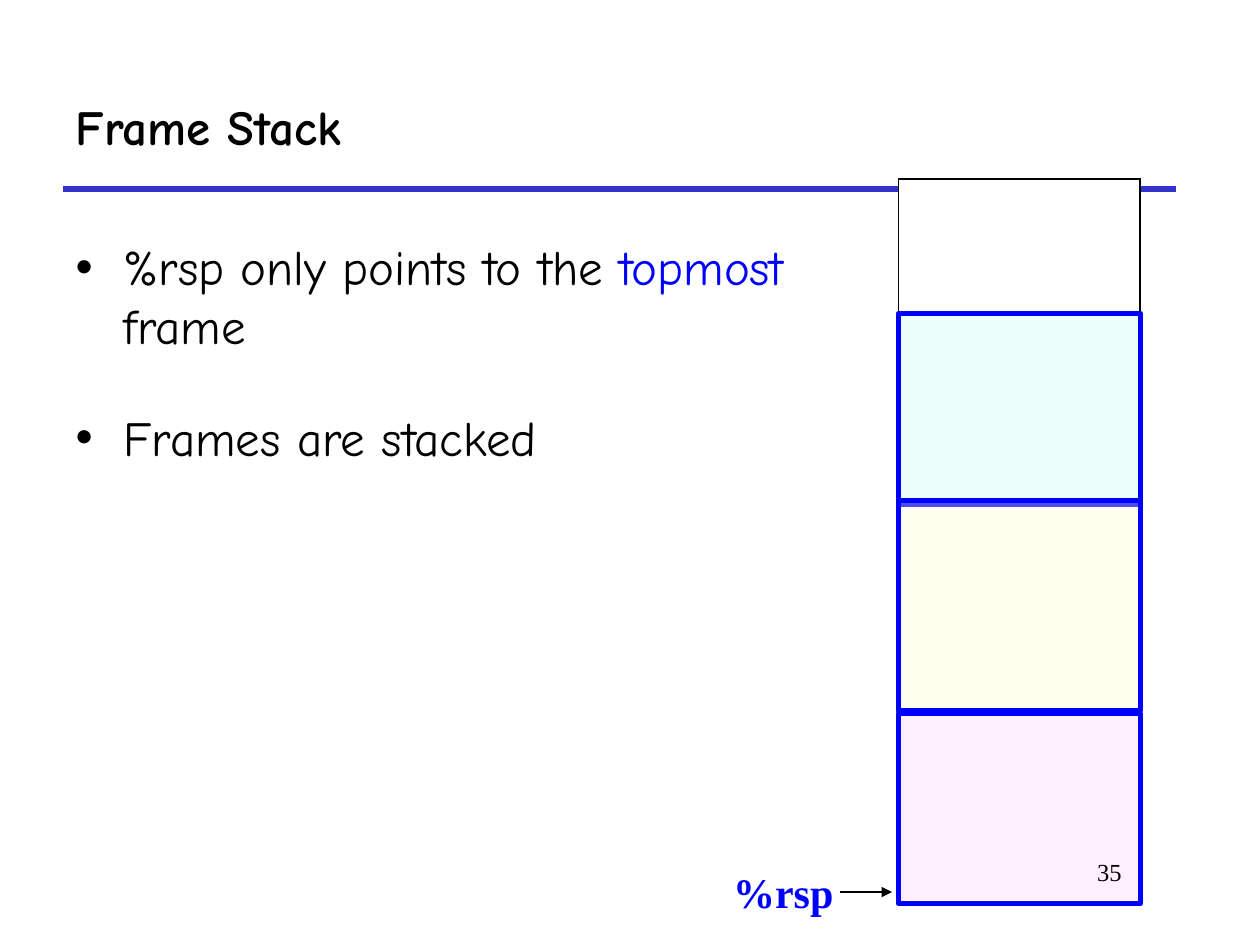
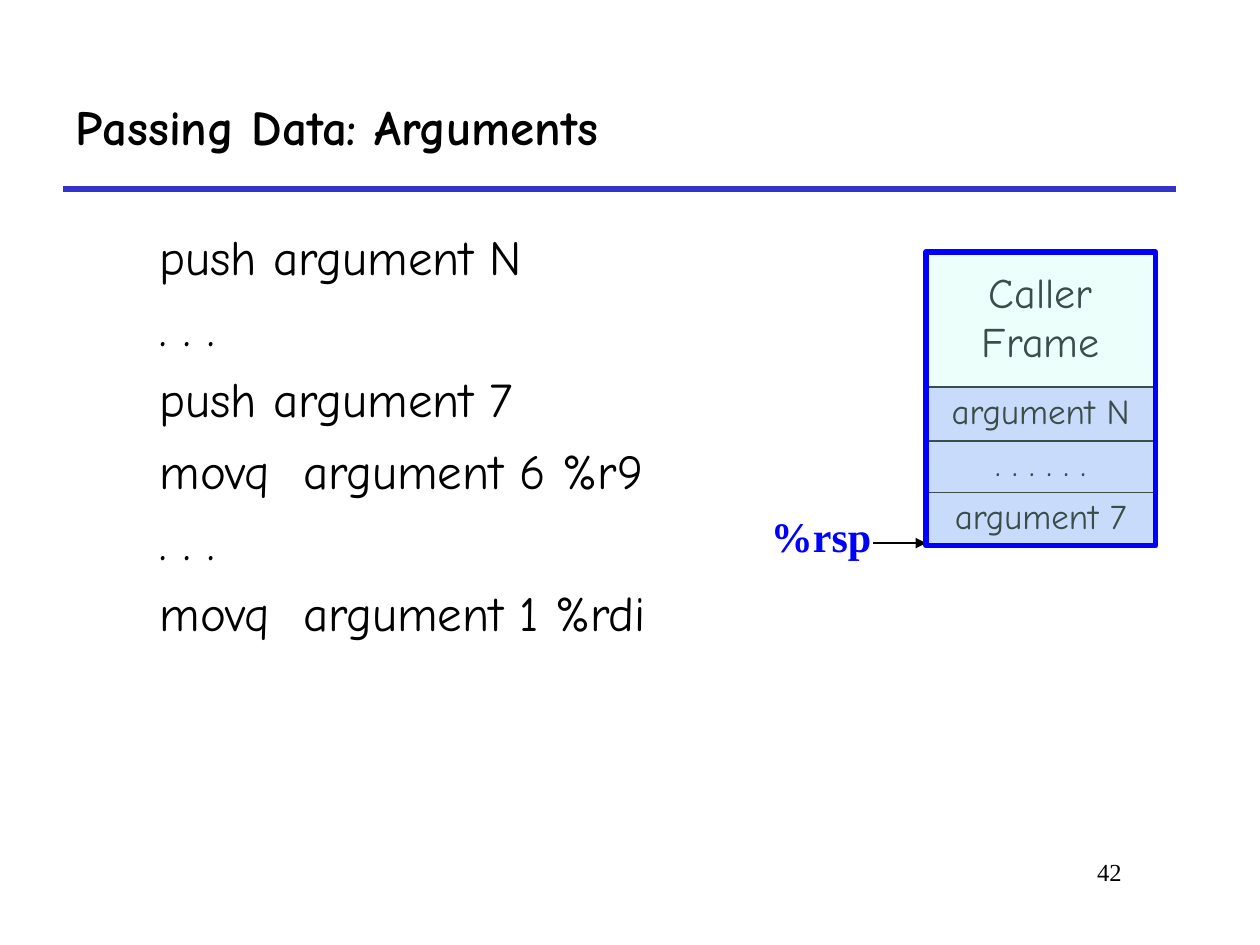
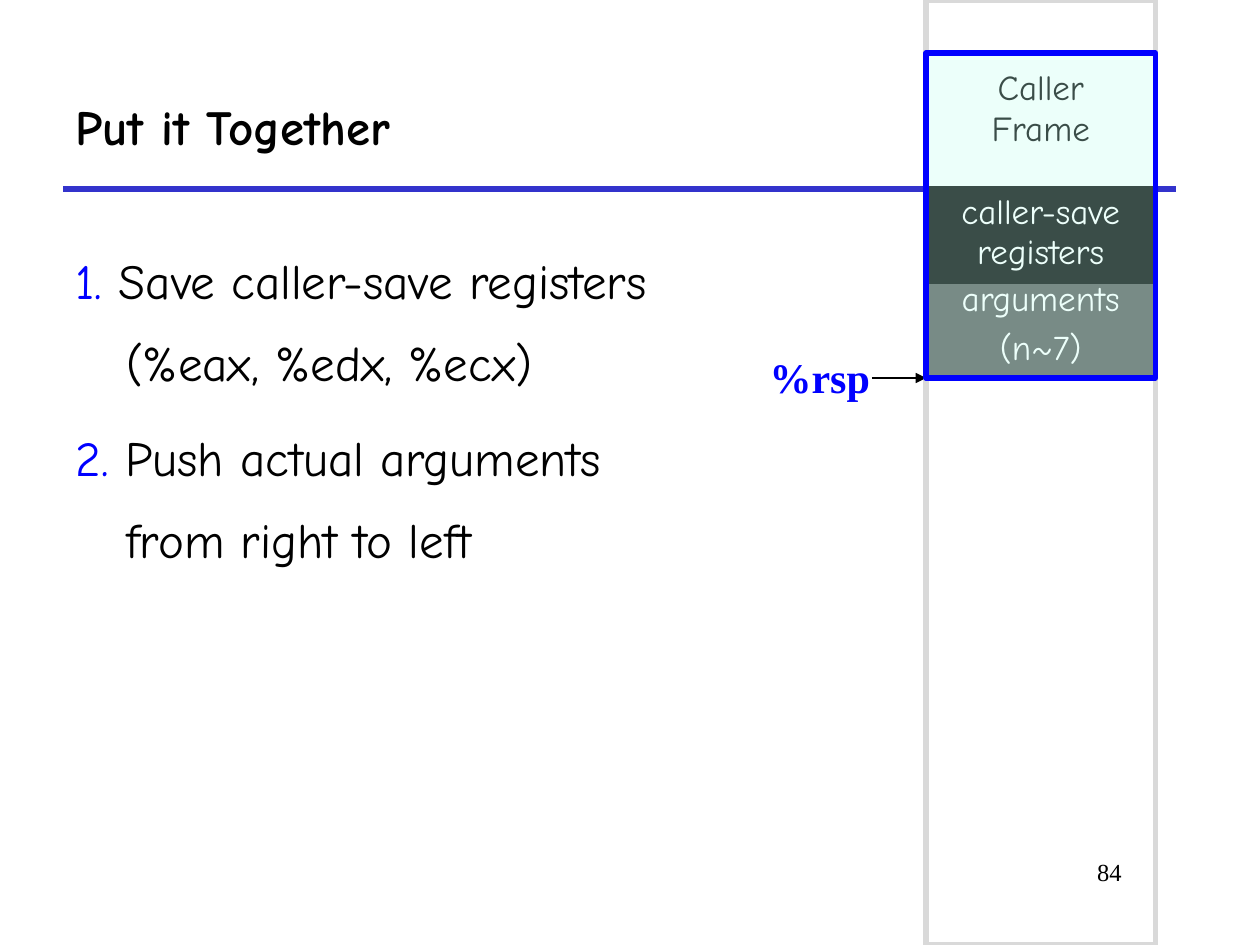
from lxml import etree
from pptx import Presentation
from pptx.dml.color import RGBColor as RGB
from pptx.enum.shapes import MSO_CONNECTOR as CONN, MSO_SHAPE as SHAPE
from pptx.enum.text import MSO_ANCHOR as ANCHOR, MSO_AUTO_SIZE as AUTO, PP_ALIGN as ALIGN
from pptx.oxml.ns import qn
from pptx.util import Inches, Pt

COLORS = {
    "black": "000000", "white": "FFFFFF", "blue": "0000FF", "rule": "3333CC",
    "mint": "C2FFF0", "cream": "FFFFCC", "pink": "FFCCFF", "lilac": "CCCCFF",
    "gray": "595959", "guide": "D9D9D9",
}
C = {name: RGB.from_string(value) for name, value in COLORS.items()}
BODY_FONT, CODE_FONT = "Comic Neue", "Times New Roman"

prs = Presentation()
prs.slide_width, prs.slide_height = Inches(10), Inches(7.5)


def place(*shares):
    """Turn percentages of the slide (x, y, x, y) into lengths."""
    sides = (prs.slide_width, prs.slide_height) * 2
    return [round(share * side / 100) for share, side in zip(shares, sides)]


def write(tf, paras, size=28, font=BODY_FONT, color="black", bold=False,
          align=ALIGN.LEFT, before=0, spacing=None, indent=0, bullet=False):
    """Fill a text frame; a paragraph is a string or a list of (text, color)."""
    for i, runs in enumerate(paras):
        p = tf.add_paragraph() if i else tf.paragraphs[0]
        pPr = p._p.get_or_add_pPr()
        pPr.set("marL", str(Inches(indent)))
        pPr.set("indent", str(-Inches(indent)))
        if bullet:
            etree.SubElement(pPr, qn("a:buChar")).set("char", "•")
        else:
            etree.SubElement(pPr, qn("a:buNone"))
        p.alignment, p.space_before = align, Pt(before if i else 0)
        if spacing:
            p.line_spacing = spacing
        for text, run_color in [(runs, color)] if isinstance(runs, str) else runs:
            for n, line in enumerate(text.split("\n")):
                if n:
                    p.add_line_break()
                r = p.add_run()
                r.text = line
                r.font.size, r.font.name, r.font.bold = Pt(size), font, bold
                r.font.color.rgb = C[run_color]


# Stack columns: left edge and width
WIDE, NARROW = (71.3, 19.2), (73.5, 18.2)
ARG_ROW = 5.73

# Tables: top, rows of (height, fill, paragraphs), text size, text color, top margin
# Frames: top, height, color; rsp: label left, label top, arrow start, end, height
slides = [
    dict(
        title="Frame Stack", number="35", column=WIDE,
        body=(5, 24.4, 66.3, 29.87),
        paras=[[("%rsp only points to the ", "black"), ("topmost ", "blue"),
                ("frame", "black")], "Frames are stacked"],
        style=dict(before=30, indent=0.38, bullet=True),
        tables=[(18.93, [(h, "white", []) for h in (14, 20.67, 21.47, 20.67)],
                 18, "black", 0.05)],
        frames=[(33.2, 20.13, "mint"), (52.93, 22.27, "cream"), (75.47, 20.13, "pink")],
        rsp=(57.2, 91.07, 66.7, 70.8, 94.4), arrow_width=1.5,
    ),
    dict(
        title="Passing Data: Arguments", number="42", column=NARROW,
        body=(11.67, 23.33, 85, 64.4),
        paras=["push argument N", ". . .", "push argument 7",
               "movq  argument 6 %r9", ". . .", "movq  argument 1 %rdi"],
        style=dict(before=7),
        tables=[(26.67, [(31.07, None, ["Caller\nFrame"])], 24, "black", 0.15)] + [
            (top, [(ARG_ROW, "lilac", [text])], 20, "black", 0.05)
            for top, text in [(52, "argument 7"), (46.4, ". . . . . ."),
                              (40.93, "argument N")]],
        frames=[(26.67, 31.07, "mint")],
        rsp=(60.2, 53.33, 69.3, 73.5, 57.47), arrow_width=0.75,
    ),
    dict(
        title="Put it Together", number="84", column=NARROW, guide=True,
        body=(5, 23.33, 95, 64.4),
        paras=[[("1. ", "blue"), ("Save caller-save registers\n(%eax, %edx, %ecx)", "black")],
               [("2. ", "blue"), ("Push actual arguments\nfrom right to left", "black")]],
        style=dict(before=7, spacing=1.4, indent=0.4),
        tables=[(28.93, [(11.13, "gray", ["arguments", "(n~7)"])], 20, "white", 0.05),
                (19.73, [(10.27, "black", ["caller-save registers"])], 20, "white", 0.05),
                (5.6, [(34.4, None, ["Caller\nFrame"])], 20, "black", 0.13)],
        frames=[(5.6, 34.4, "mint")],
        rsp=(60.1, 36.53, 69.2, 73.5, 40), arrow_width=0.75,
    ),
]

for d in slides:
    s = prs.slides.add_slide(prs.slide_layouts[1])
    left, width = d["column"]

    # Title and body
    title, body = s.placeholders[0], s.placeholders[1]
    for sp, box, anchor in [(title, (5, 6.67, 88.3, 13.33), ANCHOR.MIDDLE),
                            (body, d["body"], ANCHOR.TOP)]:
        sp.left, sp.top, sp.width, sp.height = place(*box)
        sp.text_frame.auto_size = AUTO.NONE
        sp.text_frame.word_wrap = True
        sp.text_frame.vertical_anchor = anchor
    write(title.text_frame, [d["title"]], bold=True)
    write(body.text_frame, d["paras"], **d["style"])

    # Title rule and stack pointer arrow
    label_x, label_y, start, end, arrow_y = d["rsp"]
    rule, arrow = [s.shapes.add_connector(CONN.STRAIGHT, *place(*ends)) for ends in
                   [(5, 20, 93.3, 20), (start, arrow_y, end, arrow_y)]]
    for line, color, weight in [(rule, "rule", 3), (arrow, "black", d["arrow_width"])]:
        line.line.color.rgb, line.line.width = C[color], Pt(weight)
        etree.SubElement(line._element.spPr, qn("a:effectLst"))
    etree.SubElement(arrow.line._get_or_add_ln(), qn("a:tailEnd")).set("type", "triangle")

    # Outline of the whole stack
    if d.get("guide"):
        sp = s.shapes.add_shape(SHAPE.RECTANGLE, *place(left, 0, width, 100))
        sp.shadow.inherit = False
        sp.fill.background()
        sp.line.color.rgb, sp.line.width = C["guide"], Pt(3)

    # Stack cells
    for top, rows, size, color, margin in d["tables"]:
        box = place(left, top, width, sum(row[0] for row in rows))
        table = s.shapes.add_table(len(rows), 1, *box).table
        table.first_row = table.horz_banding = False
        for i, (height, fill, paras) in enumerate(rows):
            table.rows[i].height = place(0, height)[1]
            cell = table.cell(i, 0)
            cell.margin_top = Inches(margin)
            write(cell.text_frame, paras, size=size, color=color,
                  align=ALIGN.CENTER, before=5)
            inner = {"lnT": i > 0, "lnB": i < len(rows) - 1}
            for side in ("lnL", "lnR", "lnT", "lnB"):
                weight = 0.45 if inner.get(side) else 1.08
                ln = etree.SubElement(cell._tc.get_or_add_tcPr(), qn("a:" + side),
                                      w=str(Pt(weight)))
                paint = etree.SubElement(ln, qn("a:solidFill"))
                etree.SubElement(paint, qn("a:srgbClr"), val=COLORS["black"])
            if fill:
                cell.fill.solid()
                cell.fill.fore_color.rgb = C[fill]
            else:
                cell.fill.background()

    # Translucent frames over the cells
    for top, height, color in d["frames"]:
        sp = s.shapes.add_shape(SHAPE.RECTANGLE, *place(left, top, width, height))
        sp.shadow.inherit = False
        sp.fill.solid()
        sp.fill.fore_color.rgb = C[color]
        tint = sp._element.spPr.find(qn("a:solidFill")).find(qn("a:srgbClr"))
        etree.SubElement(tint, qn("a:alpha"), val="30000")
        sp.line.color.rgb, sp.line.width = C["blue"], Pt(3)

    # Stack pointer label (no right margin, so it stays on one line) and slide number
    label = s.shapes.add_textbox(*place(label_x, label_y, 9.9, 6.67)).text_frame
    label.word_wrap, label.margin_right = True, 0
    write(label, ["%rsp"], size=24, font=CODE_FONT, color="blue", bold=True)
    number = s.shapes.add_textbox(*place(75.8, 90, 14.2, 6.67)).text_frame
    number.word_wrap = True
    write(number, [d["number"]], size=14, font=CODE_FONT, align=ALIGN.RIGHT)

prs.save("out.pptx")
